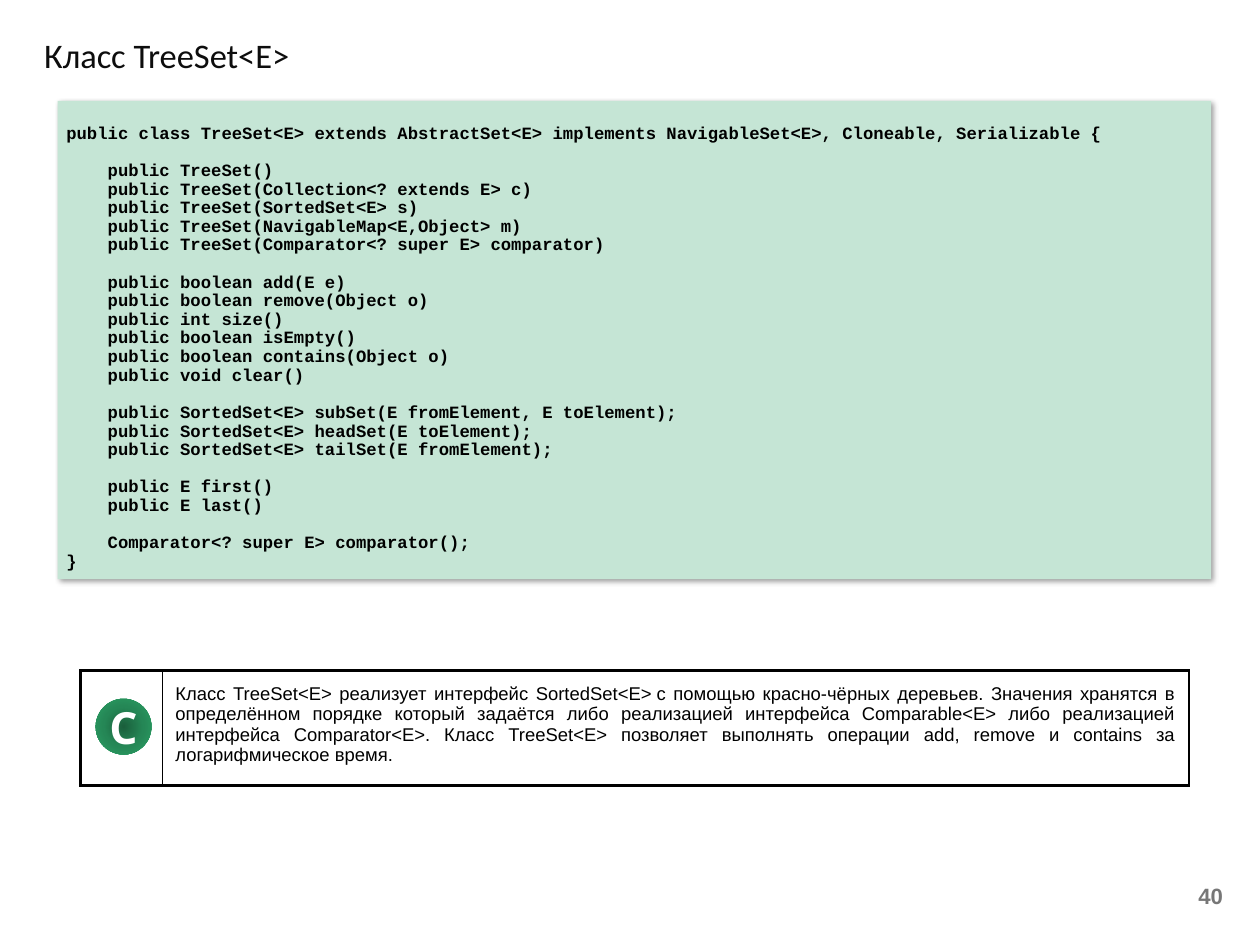
import pptx
import pptx.dml.color
import pptx.enum.shapes
import pptx.enum.text
import pptx.util
from lxml import etree
from pptx.util import Inches

TITLE = "Класс TreeSet<E>"
PAGE_NUMBER = "40"
CODE_GROUPS = [
    ["public class TreeSet<E> extends AbstractSet<E> implements NavigableSet<E>, Cloneable, Serializable {"],
    [
        "    public TreeSet()",
        "    public TreeSet(Collection<? extends E> c)",
        "    public TreeSet(SortedSet<E> s)",
        "    public TreeSet(NavigableMap<E,Object> m)",
        "    public TreeSet(Comparator<? super E> comparator)",
    ],
    [
        "    public boolean add(E e)",
        "    public boolean remove(Object o)",
        "    public int size()",
        "    public boolean isEmpty()",
        "    public boolean contains(Object o)",
        "    public void clear()",
    ],
    [
        "    public SortedSet<E> subSet(E fromElement, E toElement);",
        "    public SortedSet<E> headSet(E toElement);",
        "    public SortedSet<E> tailSet(E fromElement);",
    ],
    ["    public E first()", "    public E last()"],
    ["    Comparator<? super E> comparator();", "}"],
]
SUMMARY = (
    "Класс TreeSet<E> реализует интерфейс SortedSet<E>\u00a0с помощью красно-чёрных деревьев. "
    "Значения хранятся в определённом порядке который задаётся либо реализацией интерфейса "
    "Comparable<E> либо реализацией интерфейса Comparator<E>. Класс TreeSet<E> позволяет "
    "выполнять операции add, remove и contains за логарифмическое время."
)
COLORS = {
    "black": "000000", "title": "0D0D0D", "number": "777777", "code": "C5E5D5", "white": "FFFFFF",
    "badge_dark": "1A5F3C", "badge_mid": "258756", "badge_light": "2BA166",
}
BADGE_STOPS = [(0, "badge_dark"), (50, "badge_mid"), (100, "badge_light")]
THICK, THIN = 2.25, 0.5
CELL_BORDERS = [
    {"L": THICK, "R": THIN, "T": THICK, "B": THICK},
    {"L": THIN, "R": THICK, "T": THICK, "B": THICK},
]
CODE_LINE = pptx.util.Pt(15.15)
NAMESPACE = "http://schemas.openxmlformats.org/drawingml/2006/main"
ALIGN = pptx.enum.text.PP_ALIGN
ANCHOR = pptx.enum.text.MSO_ANCHOR
SHAPES = pptx.enum.shapes.MSO_SHAPE


def rgb(name):
    return pptx.dml.color.RGBColor.from_string(COLORS[name])


def xml(markup):
    return etree.fromstring(markup.replace(">", f' xmlns:a="{NAMESPACE}">', 1))


def style(span, size, face, color, bold=False):
    span.font.size = pptx.util.Pt(size)
    span.font.name = face
    span.font.bold = bold
    span.font.color.rgb = rgb(color)


def write(frame, text, align, *look):
    frame.word_wrap = True
    para = frame.paragraphs[0]
    para.text = text
    para.alignment = align
    style(para.runs[0], *look)


def add_box(page, place, text, align, *look):
    box = page.shapes.add_textbox(*map(Inches, place))
    box.text_frame.vertical_anchor = ANCHOR.MIDDLE
    write(box.text_frame, text, align, *look)


def add_plain_shape(page, kind, place):
    shape = page.shapes.add_shape(kind, *map(Inches, place))
    shape.shadow.inherit = False
    shape.line.fill.background()
    return shape


def add_code(page):
    panel = add_plain_shape(page, SHAPES.RECTANGLE, (0.65, 1.14, 13.02, 5.4))
    panel.fill.solid()
    panel.fill.fore_color.rgb = rgb("code")
    effects = panel._element.spPr.find(f"{{{NAMESPACE}}}effectLst")
    effects.append(xml(
        '<a:outerShdw blurRad="50800" dist="38100" dir="2700000" algn="tl" rotWithShape="0">'
        f'<a:srgbClr val="{COLORS["black"]}"><a:alpha val="40000"/></a:srgbClr></a:outerShdw>'
    ))
    frame = panel.text_frame
    frame.word_wrap = True
    frame.vertical_anchor = ANCHOR.TOP
    frame.margin_top = Inches(0.05) + CODE_LINE
    for group_index, group in enumerate(CODE_GROUPS):
        for line_index, line in enumerate(group):
            first = group_index == line_index == 0
            para = frame.paragraphs[0] if first else frame.add_paragraph()
            para.text = line
            para.alignment = ALIGN.LEFT
            para.line_spacing = CODE_LINE
            if line_index == 0 and not first:
                para.space_before = CODE_LINE
            style(para.runs[0], 14, "Courier New", "black", True)


def add_summary(page):
    table = page.shapes.add_table(1, 2, *map(Inches, (0.91, 7.57, 12.51, 1.3))).table
    for column, width in zip(table.columns, (0.92, 11.59)):
        column.width = Inches(width)
    for cell, borders in zip(table.rows[0].cells, CELL_BORDERS):
        properties = cell._tc.get_or_add_tcPr()
        for side, points in borders.items():
            properties.append(xml(
                f'<a:ln{side} w="{pptx.util.Pt(points)}"><a:solidFill>'
                f'<a:srgbClr val="{COLORS["black"]}"/></a:solidFill></a:ln{side}>'
            ))
        cell.fill.solid()
        cell.fill.fore_color.rgb = rgb("white")
    cell.margin_left = cell.margin_right = cell.margin_top = cell.margin_bottom = Inches(0.15)
    write(cell.text_frame, SUMMARY, ALIGN.JUSTIFY, 15, "Arial", "black")


def add_badge(page):
    badge = add_plain_shape(page, SHAPES.OVAL, (1.08, 7.89, 0.63, 0.63))
    stops = "".join(
        f'<a:gs pos="{position * 1000}"><a:srgbClr val="{COLORS[name]}"/></a:gs>'
        for position, name in BADGE_STOPS
    )
    badge._element.spPr.find(f"{{{NAMESPACE}}}prstGeom").addnext(xml(
        f'<a:gradFill rotWithShape="1"><a:gsLst>{stops}</a:gsLst><a:path path="circle">'
        '<a:fillToRect l="50000" t="50000" r="50000" b="50000"/></a:path></a:gradFill>'
    ))
    frame = badge.text_frame
    frame.margin_left = frame.margin_right = frame.margin_top = frame.margin_bottom = 0
    frame.vertical_anchor = ANCHOR.MIDDLE
    write(frame, "C", ALIGN.CENTER, 36, "Open Sans", "white", True)


def main():
    deck = pptx.Presentation()
    deck.slide_width, deck.slide_height = Inches(14.22), Inches(10.67)
    page = deck.slides.add_slide(deck.slide_layouts[6])
    add_box(page, (0.4, 0.3, 11.03, 0.63), TITLE, ALIGN.LEFT, 28, "Calibri", "title")
    add_box(page, (10.58, 9.85, 3.32, 0.53), PAGE_NUMBER, ALIGN.RIGHT, 18, "Arial", "number", True)
    add_code(page)
    add_summary(page)
    add_badge(page)
    deck.save("out.pptx")


if __name__ == "__main__":
    main()
